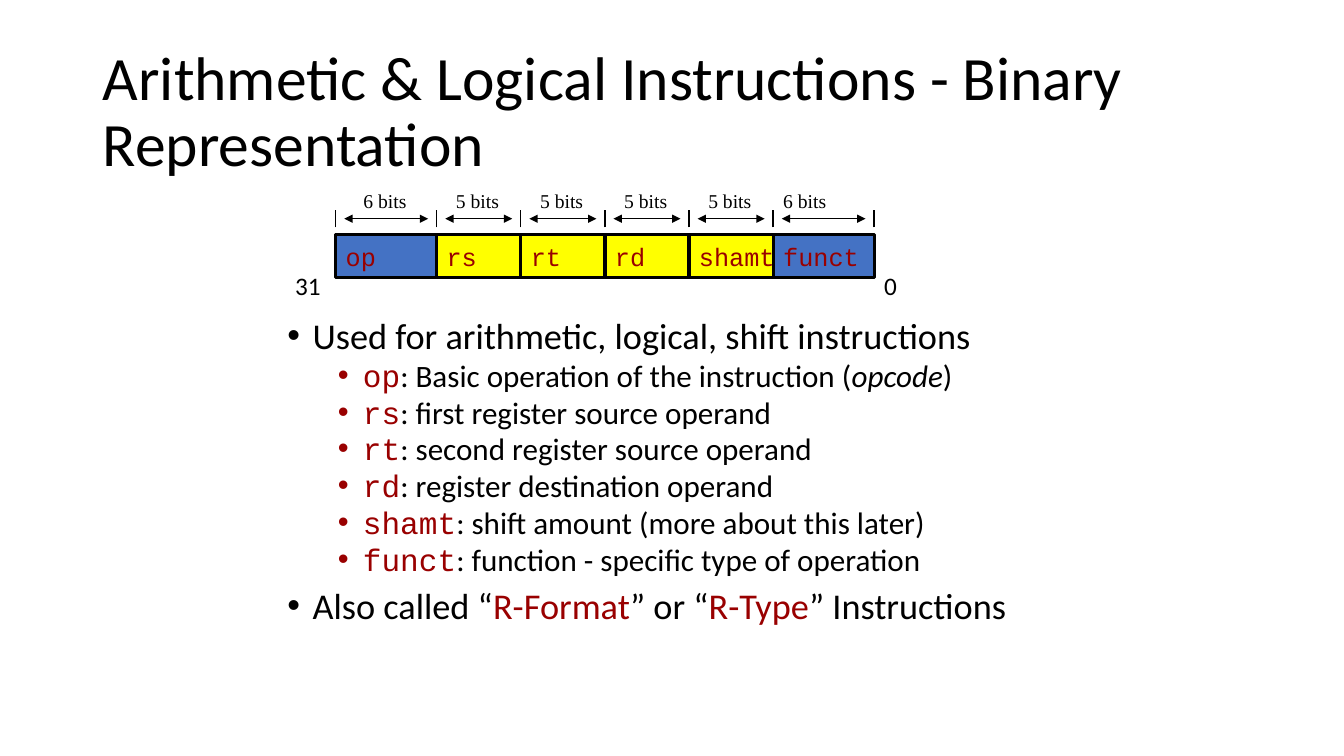
from itertools import accumulate

from lxml.etree import SubElement
from pptx import Presentation
from pptx.dml.color import RGBColor
from pptx.enum.shapes import MSO_CONNECTOR as Connector, MSO_SHAPE as Shape
from pptx.enum.text import MSO_ANCHOR as Anchor, MSO_AUTO_SIZE as AutoSize, PP_ALIGN as Align
from pptx.oxml.ns import qn
from pptx.util import Inches, Pt

COLORS = {"black": "000000", "red": "990000", "blue": "4472C4", "yellow": "FFFF00"}
SANS, MONO, SERIF = "Calibri", "Courier New", "Times New Roman"
TITLE = "Arithmetic & Logical Instructions - Binary Representation"

FIELDS = [
    ("op", 6, "blue"),
    ("rs", 5, "yellow"),
    ("rt", 5, "yellow"),
    ("rd", 5, "yellow"),
    ("shamt", 5, "yellow"),
    ("funct", 6, "blue"),
]
MEANINGS = [
    ("op", ": Basic operation of the instruction (", "opcode", ")"),
    ("rs", ": first register source operand"),
    ("rt", ": second register source operand"),
    ("rd", ": register destination operand"),
    ("shamt", ": shift amount (more about this later)"),
    ("funct", ": function - specific type of operation"),
]


def color(name):
    return RGBColor.from_string(COLORS[name])


def apply_format(target, **values):
    for name, value in values.items():
        setattr(target, name, value)


def add_run(paragraph, text, size, font=SANS, ink="black", italic=False):
    run = paragraph.add_run()
    run.text = text
    apply_format(run.font, name=font, size=Pt(size), italic=italic)
    run.font.color.rgb = color(ink)


def place(shape, left, top, width, height):
    apply_format(shape, left=Inches(left), top=Inches(top),
                 width=Inches(width), height=Inches(height))


def add_label(shapes, text, box, size, font, wrap=False):
    label = shapes.add_textbox(*map(Inches, box))
    apply_format(label.text_frame, word_wrap=wrap, auto_size=AutoSize.SHAPE_TO_FIT_TEXT)
    add_run(label.text_frame.paragraphs[0], text, size, font)


def add_line(shapes, start, end, arrows=False):
    points = map(Inches, (*start, *end))
    connector = shapes.add_connector(Connector.STRAIGHT, *points)
    connector.line.width = Pt(1)
    connector.line.color.rgb = color("black")
    if arrows:
        line = connector.line._get_or_add_ln()
        for tag in ("a:headEnd", "a:tailEnd"):
            SubElement(line, qn(tag), type="triangle")
    SubElement(connector._element.spPr, qn("a:effectLst"))


def add_field(shapes, name, fill, box):
    field = shapes.add_shape(Shape.RECTANGLE, *map(Inches, box))
    field.shadow.inherit = False
    field.fill.solid()
    field.fill.fore_color.rgb = color(fill)
    field.line.color.rgb = color("black")
    field.line.width = Pt(2.25)
    apply_format(field.text_frame, word_wrap=False, vertical_anchor=Anchor.MIDDLE)
    paragraph = field.text_frame.paragraphs[0]
    paragraph.alignment = Align.LEFT
    add_run(paragraph, name, 18, MONO, "red")


def add_instruction_word(slide, left, top, width, height):
    shapes = slide.shapes.add_group_shape().shapes
    bits = [count for _, count, _ in FIELDS]
    bit_width = width / sum(bits)
    edges = [left + bit_width * start for start in accumulate(bits, initial=0)]
    arrow_y, tick, gap = top + 0.34, 0.085, 0.085
    label_width, label_height, row_height = 0.65, 0.33, 0.42
    spans = list(zip(FIELDS, edges, edges[1:]))

    for (name, _, fill), start, end in reversed(spans):
        add_field(shapes, name, fill, (start, top + height - row_height, end - start, row_height))
    for edge in edges:
        add_line(shapes, (edge, arrow_y + tick), (edge, arrow_y - tick))
    for (_, count, _), start, end in spans:
        add_line(shapes, (start + gap, arrow_y), (end - gap, arrow_y), arrows=True)
        is_last = end == edges[-1]
        if is_last:
            box = (start, top, end - start, label_height)
        else:
            box = ((start + end - label_width) / 2, top, label_width, label_height)
        add_label(shapes, f"{count} bits", box, 14, SERIF, wrap=is_last)

    number_top = top + 0.8
    add_label(slide.shapes, "0", (left + width, number_top, 0.33, 0.4), 18, SANS)
    add_label(slide.shapes, "31", (left - 0.5, number_top, 0.46, 0.4), 18, SANS)


def add_title(slide, *box):
    title = slide.shapes.title
    place(title, *box)
    apply_format(title.text_frame, word_wrap=True, auto_size=AutoSize.NONE,
                 vertical_anchor=Anchor.MIDDLE)
    paragraph = title.text_frame.paragraphs[0]
    apply_format(paragraph, alignment=Align.LEFT, line_spacing=0.9)
    add_run(paragraph, TITLE, 44)


def add_bullet(paragraph, level):
    apply_format(paragraph, level=level, line_spacing=0.8, space_before=Pt(5 if level else 10))
    properties = paragraph._p.get_or_add_pPr()
    properties.set("marL", str(Inches(0.25 + 0.5 * level)))
    properties.set("indent", str(Inches(-0.25)))
    SubElement(properties, qn("a:buFont"), typeface="Arial")
    SubElement(properties, qn("a:buChar"), char="•")


def add_explanation(slide, *box):
    body = slide.placeholders[1]
    place(body, *box)
    frame = body.text_frame
    apply_format(frame, word_wrap=True, auto_size=AutoSize.NONE, vertical_anchor=Anchor.TOP)

    purpose = frame.paragraphs[0]
    add_bullet(purpose, 0)
    add_run(purpose, "Used for arithmetic, logical, shift instructions", 25.9)

    for name, *parts in MEANINGS:
        meaning = frame.add_paragraph()
        add_bullet(meaning, 1)
        add_run(meaning, name, 22.2, MONO, "red")
        for part in parts:
            add_run(meaning, part, 22.2, italic=part == "opcode")

    aliases = frame.add_paragraph()
    add_bullet(aliases, 0)
    for text in ("Also called “", "R-Format", "” or “", "R-Type", "” Instructions"):
        add_run(aliases, text, 25.9, ink="red" if text.startswith("R-") else "black")


def main():
    presentation = Presentation()
    apply_format(presentation, slide_width=Inches(13.33), slide_height=Inches(7.5))
    slide = presentation.slides.add_slide(presentation.slide_layouts[1])
    add_title(slide, 0.92, 0.4, 11.5, 1.45)
    add_explanation(slide, 2.75, 3.14, 7.83, 3.38)
    add_instruction_word(slide, 3.33, 1.83, 5.34, 0.92)
    presentation.save("out.pptx")


if __name__ == "__main__":
    main()
